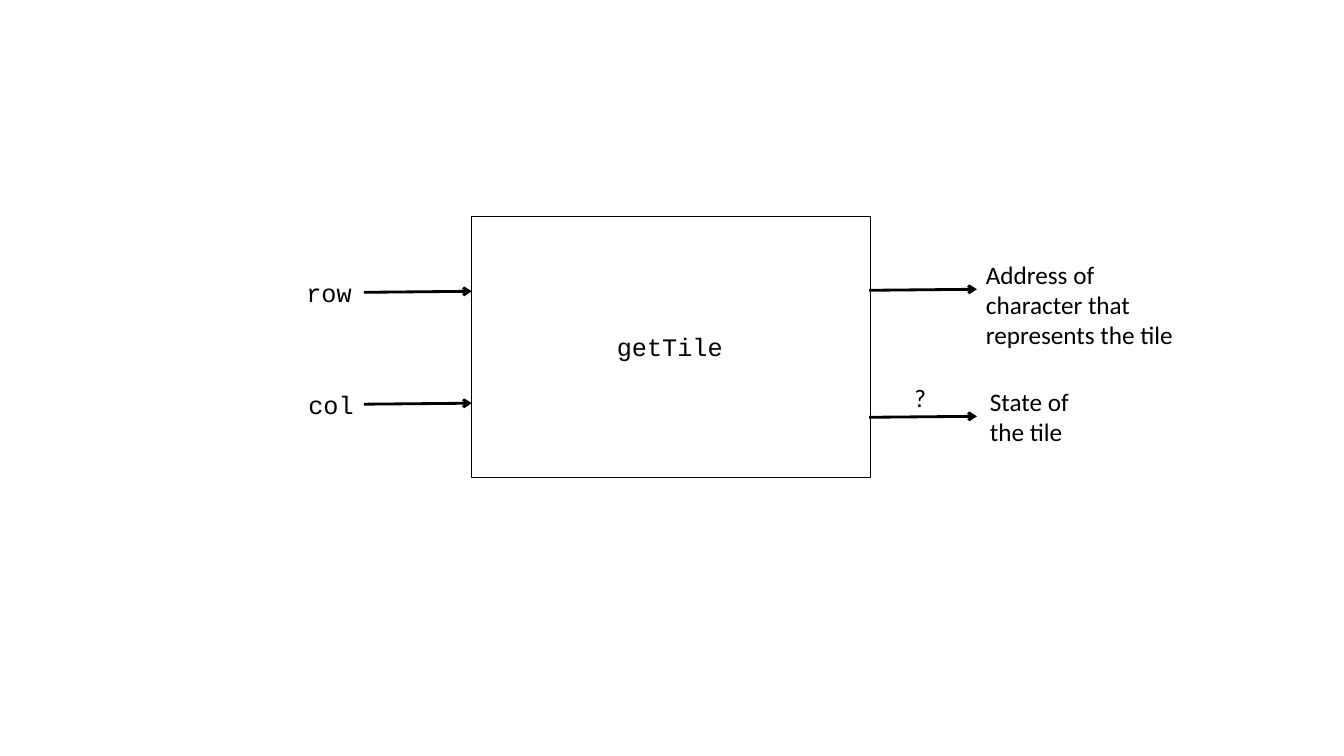
from lxml.etree import SubElement
from pptx import Presentation
from pptx.dml.color import RGBColor
from pptx.enum.shapes import MSO_CONNECTOR, MSO_SHAPE
from pptx.enum.text import MSO_AUTO_SIZE
from pptx.oxml.ns import qn
from pptx.util import Inches, Pt


def color(hex_string):
    return RGBColor.from_string(hex_string)


class Diagram:
    ink = "000000"
    text_size = 18
    text_font = "Calibri"
    code_font = "Courier New"

    def __init__(self, slide):
        self.slide = slide

    def box(self, left, top, width, height):
        shape = self.slide.shapes.add_shape(
            MSO_SHAPE.RECTANGLE, Inches(left), Inches(top), Inches(width), Inches(height))
        shape.shadow.inherit = False
        shape.fill.background()
        shape.line.color.rgb = color(self.ink)
        shape.line.width = Pt(0.75)

    def arrow(self, left, start_y, right, end_y):
        connector = self.slide.shapes.add_connector(
            MSO_CONNECTOR.STRAIGHT, Inches(left), Inches(start_y), Inches(right), Inches(end_y))
        connector.line.color.rgb = color(self.ink)
        connector.line.width = Pt(2)
        SubElement(connector.line._get_or_add_ln(), qn("a:tailEnd"), type="arrow")
        SubElement(connector._element.spPr, qn("a:effectLst"))

    def label(self, left, top, width, height, lines, font):
        text_box = self.slide.shapes.add_textbox(
            Inches(left), Inches(top), Inches(width), Inches(height))
        frame = text_box.text_frame
        frame.word_wrap = False
        frame.auto_size = MSO_AUTO_SIZE.SHAPE_TO_FIT_TEXT
        for index, line in enumerate(lines):
            paragraph = frame.add_paragraph() if index else frame.paragraphs[0]
            run = paragraph.add_run()
            run.text = line
            run.font.name = font
            run.font.size = Pt(self.text_size)
            run.font.color.rgb = color(self.ink)


def main():
    presentation = Presentation()
    presentation.slide_width = Inches(13.33)
    presentation.slide_height = Inches(7.5)
    blank_layout = presentation.slide_layouts[6]
    diagram = Diagram(presentation.slides.add_slide(blank_layout))

    # Function box
    diagram.box(4.68, 2.15, 3.95, 2.59)
    diagram.label(6.02, 3.24, 1.26, 0.4, ["getTile"], diagram.code_font)

    # Inputs
    for name, left, top, width in [("row", 2.94, 2.7, 0.68), ("col", 2.96, 3.81, 0.66)]:
        diagram.label(left, top, width, 0.4, [name], diagram.code_font)
        diagram.arrow(3.61, top + 0.2, 4.68, top + 0.19)

    # Outputs
    outputs = [
        (2.88, 9.68, 2.52, 2.08, 1.01,
         ["Address of", "character that", "represents the tile"]),
        (4.14, 9.72, 3.78, 1, 0.71, ["State of", "the tile"]),
    ]
    for arrow_y, left, top, width, height, lines in outputs:
        diagram.arrow(8.62, arrow_y, 9.69, arrow_y - 0.01)
        diagram.label(left, top, width, height, lines, diagram.text_font)
    diagram.label(8.97, 3.74, 0.32, 0.4, ["?"], diagram.text_font)

    presentation.save("out.pptx")


if __name__ == "__main__":
    main()
